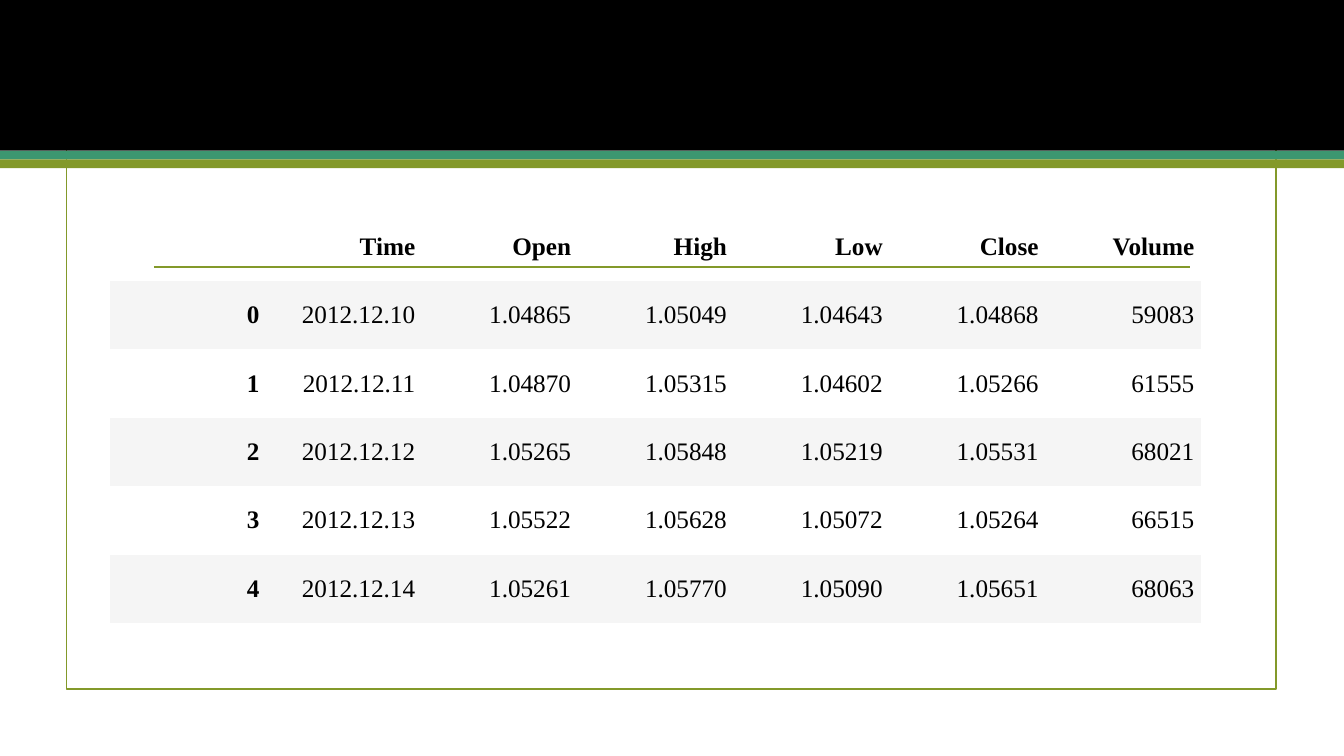
import dataclasses

import pptx
import pptx.dml.color
import pptx.enum.shapes
import pptx.enum.text
import pptx.oxml
import pptx.oxml.ns
import pptx.util

Cm = pptx.util.Cm


@dataclasses.dataclass(frozen=True)
class Theme:
    black: str = "000000"
    teal: str = "3C9770"
    olive: str = "83992A"
    stripe: str = "F5F5F5"
    font: str = "Times New Roman"
    text_size: float = 18
    line_width: float = 1.25


THEME = Theme()
NO_GRID_STYLE = "{2D5ABB26-0587-4C30-8999-92F81FD0307C}"

HEADINGS = ["", "Time", "Open", "High", "Low", "Close", "Volume"]
PRICES = [
    ["0", "2012.12.10", "1.04865", "1.05049", "1.04643", "1.04868", "59083"],
    ["1", "2012.12.11", "1.04870", "1.05315", "1.04602", "1.05266", "61555"],
    ["2", "2012.12.12", "1.05265", "1.05848", "1.05219", "1.05531", "68021"],
    ["3", "2012.12.13", "1.05522", "1.05628", "1.05072", "1.05264", "66515"],
    ["4", "2012.12.14", "1.05261", "1.05770", "1.05090", "1.05651", "68063"],
]


def rgb(code):
    return pptx.dml.color.RGBColor.from_string(code)


def write_text(frame, text, *, bold=False, size=THEME.text_size, color=THEME.black,
               align=pptx.enum.text.PP_ALIGN.RIGHT):
    paragraph = frame.paragraphs[0]
    paragraph.alignment = align
    run = paragraph.add_run()
    run.text = text
    run.font.name = THEME.font
    run.font.size = pptx.util.Pt(size)
    run.font.bold = bold
    run.font.color.rgb = rgb(color)


def add_rectangle(slide, left, top, width, height, fill=None, line=None):
    rectangle = slide.shapes.add_shape(
        pptx.enum.shapes.MSO_SHAPE.RECTANGLE, Cm(left), Cm(top), Cm(width), Cm(height))
    rectangle.shadow.inherit = False
    if fill:
        rectangle.fill.solid()
        rectangle.fill.fore_color.rgb = rgb(fill)
    else:
        rectangle.fill.background()
    if line:
        rectangle.line.color.rgb = rgb(line)
        rectangle.line.width = pptx.util.Pt(THEME.line_width)
    else:
        rectangle.line.fill.background()


def add_banner(slide, left, top, width, height):
    """Black title band with a teal and an olive stripe along its foot."""
    stripe_height = 0.22
    band_height = height - 2 * stripe_height
    add_rectangle(slide, left, top, width, band_height, fill=THEME.black)
    for index, color in enumerate([THEME.teal, THEME.olive]):
        add_rectangle(slide, left, top + band_height + index * stripe_height,
                      width, stripe_height, fill=color)


def add_heading_rule(slide, left, top, width):
    rule = slide.shapes.add_connector(
        pptx.enum.shapes.MSO_CONNECTOR.STRAIGHT,
        Cm(left), Cm(top), Cm(left + width), Cm(top))
    rule.line.color.rgb = rgb(THEME.olive)
    rule.line.width = pptx.util.Pt(THEME.line_width)
    rule._element.spPr.append(pptx.oxml.parse_xml(
        f"<a:effectLst {pptx.oxml.ns.nsdecls('a')}/>"))


def add_price_table(slide, left, top, width, height):
    rows = [HEADINGS, *PRICES]
    frame = slide.shapes.add_table(
        len(rows), len(HEADINGS), Cm(left), Cm(top), Cm(width), Cm(height))
    prices = frame.table
    prices.horz_banding = False
    style = prices._tbl.tblPr.find(pptx.oxml.ns.qn("a:tableStyleId"))
    style.text = NO_GRID_STYLE
    for row_index, row in enumerate(rows):
        for column_index, text in enumerate(row):
            cell = prices.cell(row_index, column_index)
            cell.vertical_anchor = pptx.enum.text.MSO_ANCHOR.MIDDLE
            cell.margin_left = cell.margin_right = Cm(0.16)
            cell.margin_top = cell.margin_bottom = Cm(0.16)
            if row_index % 2:
                cell.fill.solid()
                cell.fill.fore_color.rgb = rgb(THEME.stripe)
            else:
                cell.fill.background()
            if text:
                write_text(cell.text_frame, text,
                           bold=row_index == 0 or column_index == 0)


def build_price_slide(deck):
    slide = deck.slides.add_slide(deck.slide_layouts[6])
    add_rectangle(slide, 1.68, 1.7, 30.48, 15.66, line=THEME.olive)
    add_banner(slide, 0, 0, 33.87, 4.24)
    add_heading_rule(slide, 3.88, 6.73, 26.12)
    add_price_table(slide, 2.77, 5.36, 27.49, 10.34)


def main():
    deck = pptx.Presentation()
    deck.slide_width = Cm(33.87)
    deck.slide_height = Cm(19.05)
    build_price_slide(deck)
    deck.save("out.pptx")


if __name__ == "__main__":
    main()
